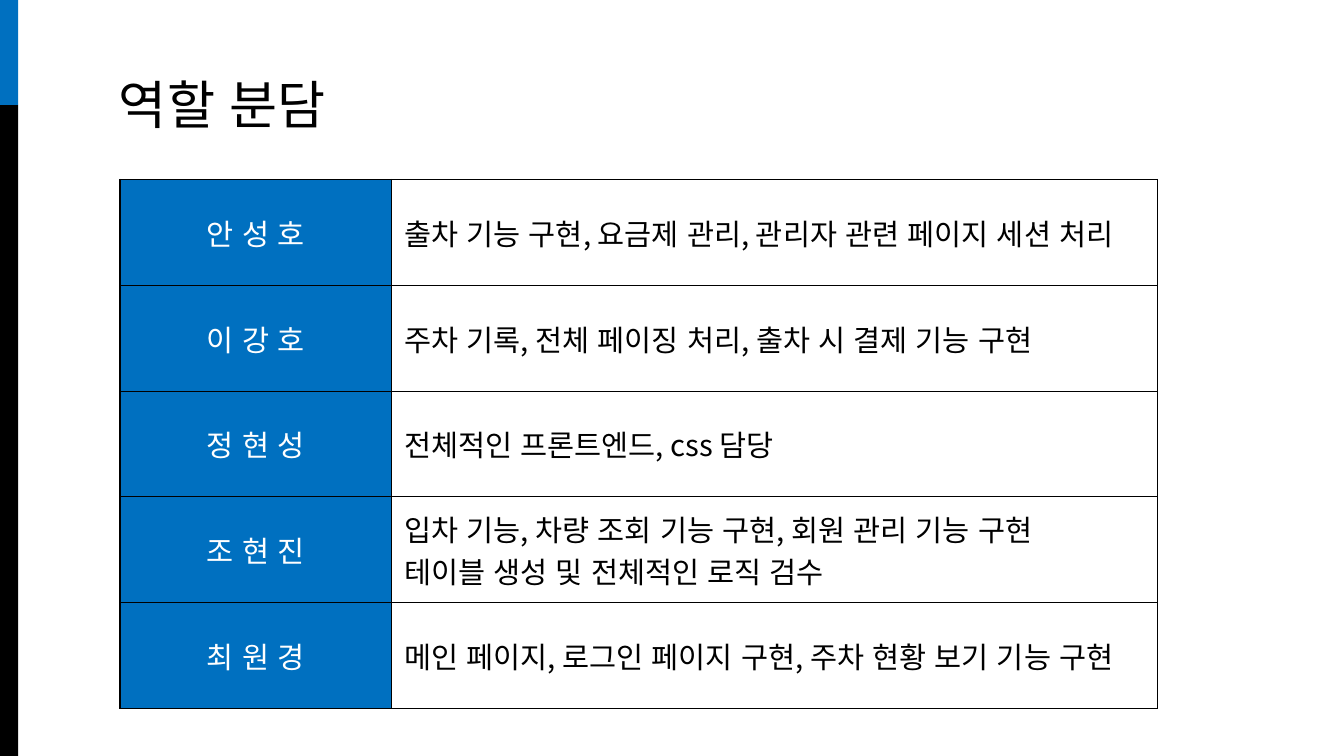
from lxml import etree
from pptx import Presentation
from pptx.dml import color
from pptx.enum import lang, shapes, text
from pptx.oxml import ns
from pptx.util import Pt

COLORS = {"blue": "0070C0", "black": "000000", "white": "FFFFFF"}
ROLES = [
    ("안 성 호", ["출차 기능 구현, 요금제 관리, 관리자 관련 페이지 세션 처리"]),
    ("이 강 호", ["주차 기록, 전체 페이징 처리, 출차 시 결제 기능 구현"]),
    ("정 현 성", ["전체적인 프론트엔드, css 담당"]),
    ("조 현 진", ["입차 기능, 차량 조회 기능 구현, 회원 관리 기능 구현",
               "테이블 생성 및 전체적인 로직 검수"]),
    ("최 원 경", ["메인 페이지, 로그인 페이지 구현, 주차 현황 보기 기능 구현"]),
]


class RoleSlide:
    """Draws the styled elements of the role assignment slide."""

    font = "Noto Sans CJK KR"
    title_size = 37.3
    cell_size = 21

    def __init__(self, page):
        self.page = page

    def paint(self, fill, name):
        fill.solid()
        fill.fore_color.rgb = color.RGBColor.from_string(COLORS[name])

    def apply(self, target, values):
        for name, value in values.items():
            setattr(target, name, value)

    def add_lines(self, frame, lines, size, shade, **layout):
        for index, line in enumerate(lines):
            para = frame.add_paragraph() if index else frame.paragraphs[0]
            self.apply(para, layout)
            span = para.add_run()
            span.text = line
            self.apply(span.font, {"name": self.font, "size": Pt(size),
                                   "language_id": lang.MSO_LANGUAGE_ID.KOREAN})
            self.paint(span.font.fill, shade)
            east = etree.SubElement(span.font._element, ns.qn("a:ea"))
            east.set("typeface", self.font)

    def bar(self, left, top, width, height, shade):
        box = self.page.shapes.add_shape(
            shapes.MSO_SHAPE.RECTANGLE, Pt(left), Pt(top), Pt(width), Pt(height))
        box.shadow.inherit = False
        self.paint(box.fill, shade)
        box.line.fill.background()

    def title(self, left, top, width, height, words):
        box = self.page.shapes.add_textbox(Pt(left), Pt(top), Pt(width), Pt(height))
        frame = box.text_frame
        self.apply(frame, {"word_wrap": True,
                           "vertical_anchor": text.MSO_ANCHOR.MIDDLE})
        for side in ("left", "right", "top", "bottom"):
            setattr(frame, f"margin_{side}", Pt(9.4))
        self.add_lines(frame, [words], self.title_size, "black", line_spacing=0.9)

    def border(self, cell):
        properties = cell._tc.get_or_add_tcPr()
        for index, side in enumerate("LRTB"):
            line = etree.Element(ns.qn(f"a:ln{side}"), w=str(Pt(1)))
            fill = etree.SubElement(line, ns.qn("a:solidFill"))
            etree.SubElement(fill, ns.qn("a:srgbClr"), val=COLORS["black"])
            properties.insert(index, line)

    def cell(self, cell, lines, fill, shade, align):
        self.apply(cell, {"vertical_anchor": text.MSO_ANCHOR.MIDDLE,
                          "margin_left": Pt(9.4), "margin_right": Pt(9.4),
                          "margin_top": Pt(4.7), "margin_bottom": Pt(4.7)})
        self.paint(cell.fill, fill)
        self.border(cell)
        self.add_lines(cell.text_frame, lines, self.cell_size, shade, alignment=align)

    def table(self, left, top, widths, row_height, roles):
        table = self.page.shapes.add_table(
            len(roles), len(widths), Pt(left), Pt(top),
            Pt(sum(widths)), Pt(row_height * len(roles))).table
        self.apply(table, {"first_row": False, "horz_banding": False})
        for column, width in zip(table.columns, widths):
            column.width = Pt(width)
        for index, (member, tasks) in enumerate(roles):
            table.rows[index].height = Pt(row_height)
            self.cell(table.cell(index, 0), [member], "blue", "white",
                      text.PP_ALIGN.CENTER)
            self.cell(table.cell(index, 1), tasks, "white", "black",
                      text.PP_ALIGN.LEFT)


def main():
    deck = Presentation()
    deck.slide_width, deck.slide_height = Pt(960), Pt(540)
    slide = RoleSlide(deck.slides.add_slide(deck.slide_layouts[6]))
    slide.bar(0, 75, 13, 465, "black")
    slide.bar(0, 0, 13, 75, "blue")
    slide.title(75.6, 46.8, 808.6, 60.5, "역할 분담")
    slide.table(85.7, 128.2, [193.7, 547.2], 75.6, ROLES)
    deck.save("out.pptx")


if __name__ == "__main__":
    main()
